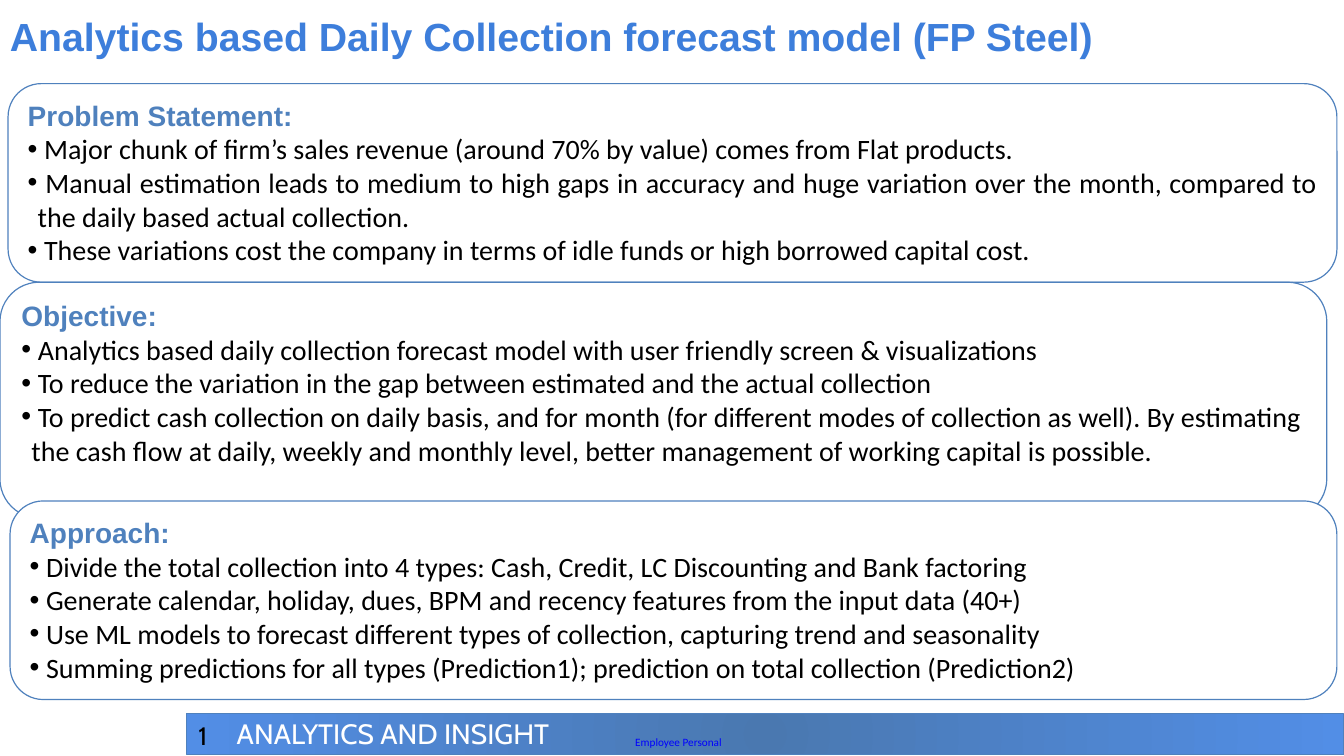
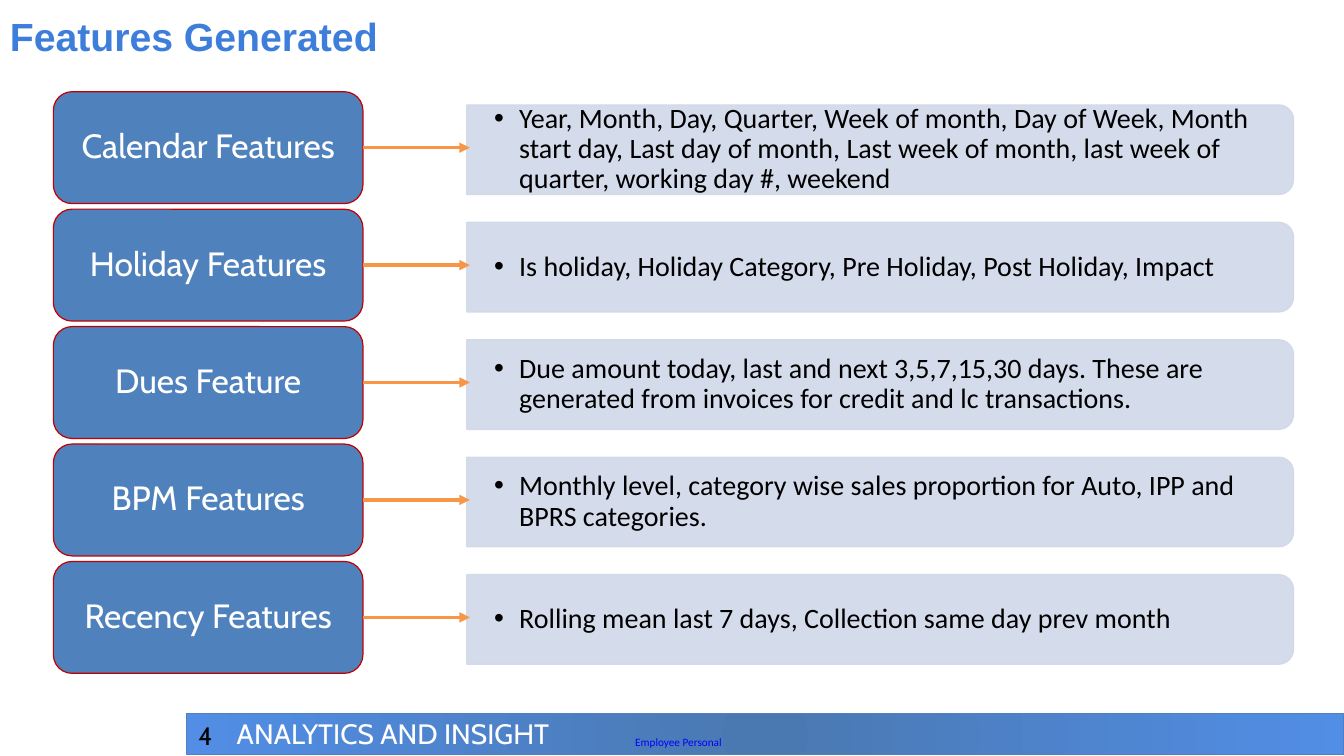
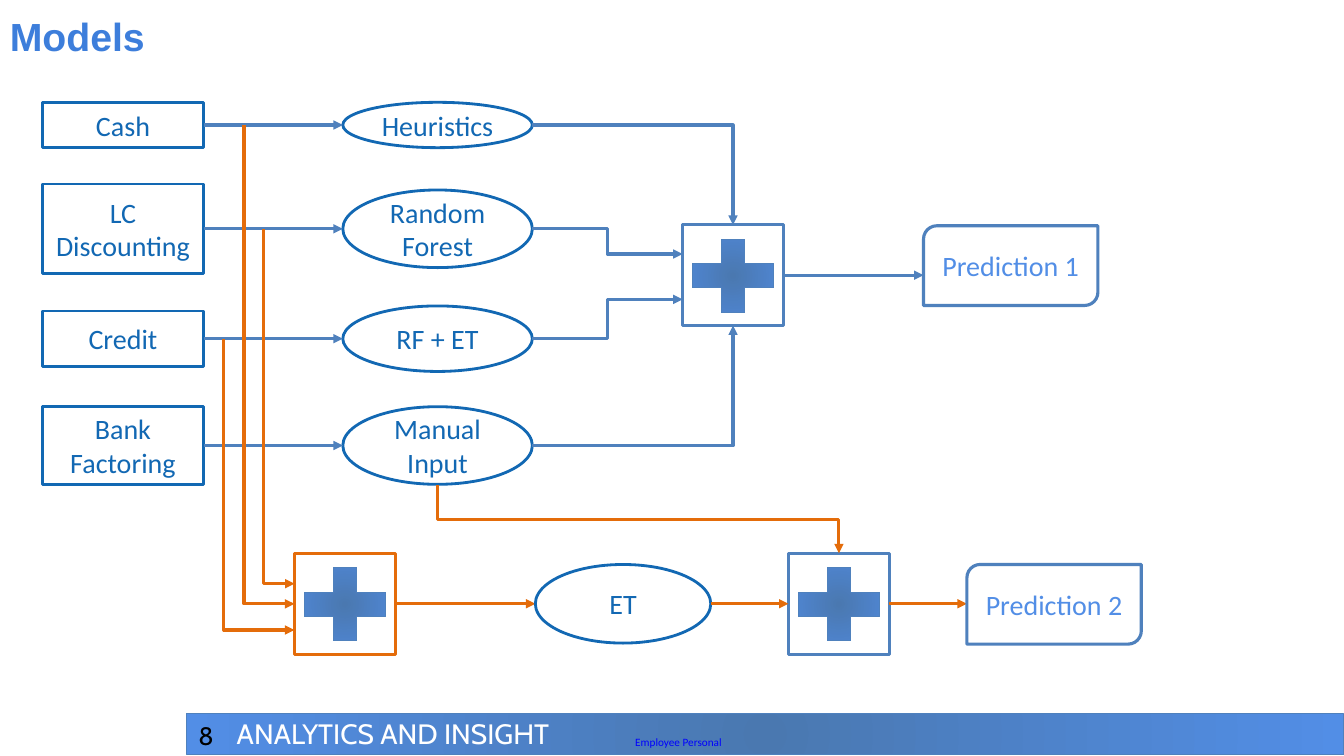
"""Builds three slides on a daily collection forecast model."""
from lxml import etree
from pptx import Presentation, util as u
from pptx.dml.color import RGBColor
from pptx.enum import shapes, text
from pptx.oxml.ns import qn

SHAPE, LINK = shapes.MSO_SHAPE, shapes.MSO_CONNECTOR
ALIGN, ANCHOR = text.PP_ALIGN, text.MSO_ANCHOR
W, H = 13.33, 7.5
BLUE, INK, TITLE, SKY = "4F81BD", "1268B3", "3D7EDB", "528EE6"
DEEP, ORANGE, AMBER, PALE, RED = "4A78B0", "E46C0A", "F79646", "D0D8E8", "C00000"
WHITE, BLACK, LABEL = "FFFFFF", "000000", "0000FF"

PANELS = [
    ((0.08, 0.83, 13.18, 1.97), ALIGN.JUSTIFY, "Problem Statement:", [
        "Major chunk of firm’s sales revenue (around 70% by value) comes from Flat products.",
        "Manual estimation leads to medium to high gaps in accuracy and huge variation over the month, "
        "compared to the daily based actual collection.",
        "These variations cost the company in terms of idle funds or high borrowed capital cost."]),
    ((0, 2.8, 13.16, 2.34), ALIGN.LEFT, "Objective:", [
        "Analytics based daily collection forecast model with user friendly screen & visualizations",
        "To reduce the variation in the gap between estimated and the actual collection",
        "To predict cash collection on daily basis, and for month (for different modes of collection as well). "
        "By estimating the cash flow at daily, weekly and monthly level, better management of working capital "
        "is possible."]),
    ((0.1, 4.97, 13.16, 1.97), ALIGN.LEFT, "Approach:", [
        "Divide the total collection into 4 types: Cash, Credit, LC Discounting and Bank factoring",
        "Generate calendar, holiday, dues, BPM and recency features from the input data (40+)",
        "Use ML models to forecast different types of collection, capturing trend and seasonality",
        "Summing predictions for all types (Prediction1); prediction on total collection (Prediction2)"]),
]
FEATURES = [
    ("Calendar Features", "Year, Month, Day, Quarter, Week of month, Day of Week, Month start day, "
     "Last day of month, Last week of month, last week of quarter, working day #, weekend"),
    ("Holiday Features", "Is holiday, Holiday Category, Pre Holiday, Post Holiday, Impact"),
    ("Dues Feature", "Due amount today, last and next 3,5,7,15,30 days. These are generated from invoices "
     "for credit and lc transactions."),
    ("BPM Features", "Monthly level, category wise sales proportion for Auto, IPP and BPRS categories."),
    ("Recency Features", "Rolling mean last 7 days, Collection same day prev month"),
]
MODELS = [
    ("Cash", 0.45, "Heuristics", 0.45, 1.24),
    ("LC Discounting", 0.89, "Random Forest", 0.77, 2.27),
    ("Credit", 0.55, "RF + ET", 0.65, 3.36),
    ("Bank Factoring", 0.77, "Manual Input", 0.77, 4.42),
]


def rgb(color):
    return RGBColor.from_string(color)


def inches(*values):
    return [u.Inches(v) for v in values]


def add_text(sp, words, size=20, font="Calibri", color=BLACK, bold=False, align=ALIGN.LEFT,
             anchor=ANCHOR.TOP, inset=(0.1, 0.05), hang=0, spacing=None, wrap=True):
    tf = sp.text_frame
    tf.word_wrap, tf.vertical_anchor = wrap, anchor
    tf.margin_left = tf.margin_right = u.Inches(inset[0])
    tf.margin_top = tf.margin_bottom = u.Inches(inset[1])
    p = tf.paragraphs[0] if not tf.text else tf.add_paragraph()
    p.alignment, p.line_spacing = align, spacing
    r = p.add_run()
    r.text = words
    r.font.size, r.font.name, r.font.bold = u.Pt(size), font, bold
    r.font.color.rgb = rgb(color)
    if hang:
        pr = p._p.get_or_add_pPr()
        pr.set("marL", str(u.Inches(hang)))
        pr.set("indent", str(-u.Inches(hang)))
        etree.SubElement(pr, qn("a:buFont"), typeface="Arial")
        etree.SubElement(pr, qn("a:buChar"), char="•")


def add_box(s, at, words, **fmt):
    sp = s.shapes.add_textbox(*inches(*at))
    add_text(sp, words, **fmt)
    return sp


def add_shape(s, kind, at, line, width, fill=None):
    sp = s.shapes.add_shape(kind, *inches(*at))
    sp.shadow.inherit = False
    if fill:
        sp.fill.solid()
        sp.fill.fore_color.rgb = rgb(fill)
    else:
        sp.fill.background()
    sp.line.color.rgb, sp.line.width = rgb(line), u.Pt(width)
    return sp


def add_glow(s, kind, at):
    sp = add_shape(s, kind, at, BLUE, 0.75)
    props = sp._element.spPr
    grad = etree.Element(qn("a:gradFill"), rotWithShape="1")
    stops = etree.SubElement(grad, qn("a:gsLst"))
    for pos, color in (("0", DEEP), ("100000", SKY)):
        stop = etree.SubElement(stops, qn("a:gs"), pos=pos)
        etree.SubElement(stop, qn("a:srgbClr"), val=color)
    shade = etree.SubElement(grad, qn("a:path"), path="circle")
    etree.SubElement(shade, qn("a:fillToRect"), dict.fromkeys("ltrb", "50000"))
    props.replace(props.find(qn("a:noFill")), grad)
    return sp


def add_arrow(s, start, end, color, width=2.25, kind=LINK.STRAIGHT, source=None, target=None):
    c = s.shapes.add_connector(kind, *inches(*start, *end))
    if source is not None:
        c.begin_connect(source, 3)
    if target is not None:
        c.end_connect(target, 1)
    c.line.color.rgb, c.line.width = rgb(color), u.Pt(width)
    etree.SubElement(c.line._get_or_add_ln(), qn("a:tailEnd"), type="triangle")
    etree.SubElement(c._element.spPr, qn("a:effectLst"))
    return c


def add_elbow(s, start, end, color, corners=2, down_first=False):
    (x1, y1), (x2, y2) = start, end
    if down_first:
        cx, cy, dx, dy = (x1 + x2) / 2, (y1 + y2) / 2, (x2 - x1) / 2, (y2 - y1) / 2
        start, end = (cx + dy, cy - dx), (cx - dy, cy + dx)
    c = add_arrow(s, start, end, color, kind=LINK.ELBOW)
    props = c._element.spPr
    if down_first:
        props.find(qn("a:xfrm")).set("rot", str(270 * 60000))
    props.find(qn("a:prstGeom")).set("prst", f"bentConnector{corners + 1}")


def add_slide(prs, title, number):
    s = prs.slides.add_slide(prs.slide_layouts[6])
    add_glow(s, SHAPE.RECTANGLE, (1.85, 7.08, W - 1.85, 0.41))
    add_box(s, (2.25, 7.06, 3.74, 0.44), "ANALYTICS AND INSIGHT", font="Cabin", color=WHITE)
    add_box(s, (6.3, 7.3, 0.9, 0.13), "Employee Personal", size=8, color=LABEL, inset=(0, 0), wrap=False)
    add_box(s, (1.87, 7.1, 3.11, 0.4), number, size=18, font="Cabin")
    add_box(s, (0, 0.07, 12.94, 0.57), title, size=28, font="Arial", color=TITLE, bold=True)
    return s


def overview(s):
    for at, align, heading, points in PANELS:
        sp = add_shape(s, SHAPE.ROUNDED_RECTANGLE, at, BLUE, 0.85, WHITE)
        add_text(sp, heading, font="Arial", color=BLUE, bold=True)
        for point in points:
            add_text(sp, f" {point}", align=align, hang=0.1)


def features(s):
    top, pitch, tall, bar_h, bar_w, bar_x = 0.91, 1.165, 1.11, 0.89, 8.2, 4.63
    for i, (name, detail) in enumerate(FEATURES):
        y = top + i * pitch
        mid = y + tall / 2 + 0.02
        bar = add_shape(s, SHAPE.ROUND_2_SAME_RECTANGLE,
                        (bar_x + (bar_w - bar_h) / 2, mid - bar_w / 2, bar_h, bar_w), PALE, 0.85, PALE)
        bar.rotation = 90
        for tint in list(bar._element.spPr.iter(qn("a:srgbClr"))):
            etree.SubElement(tint, qn("a:alpha"), val="90000")
        add_box(s, (bar_x, mid - 0.4, 8.16, 0.8), detail, anchor=ANCHOR.MIDDLE,
                inset=(0.27, 0.14), hang=0.25, spacing=0.9)
        button = add_shape(s, SHAPE.ROUNDED_RECTANGLE, (0.53, y, 3.07, tall), RED, 0.85, BLUE)
        add_text(button, name, size=24, font="Cabin", color=WHITE, align=ALIGN.CENTER,
                 anchor=ANCHOR.MIDDLE, spacing=0.9)
        add_arrow(s, (3.6, y + tall / 2), (4.66, y + tall / 2), AMBER, 2.5, source=button)


def add_node(s, kind, at, words, color=INK, line=INK, width=2):
    sp = add_shape(s, kind, at, line, width)
    add_text(sp, words, color=color, align=ALIGN.CENTER, anchor=ANCHOR.MIDDLE)
    return sp


def add_sum(s, x, y, color):
    add_glow(s, SHAPE.MATH_PLUS, (x - 0.05, y + 0.01, 1.1, 0.99))
    return add_shape(s, SHAPE.RECTANGLE, (x, y, 1, 1), color, 2.25)


def models(s):
    oval, left, wide, model_x, model_w = SHAPE.FLOWCHART_CONNECTOR, 0.42, 1.6, 3.4, 1.88
    out = model_x + model_w
    for source, source_h, model, model_h, mid in MODELS:
        box = add_node(s, SHAPE.RECTANGLE, (left, mid - source_h / 2, wide, source_h), source)
        add_node(s, oval, (model_x, mid - model_h / 2, model_w, model_h), model)
        add_arrow(s, (left + wide, mid), (model_x, mid), BLUE, source=box)
    cash, lc, credit, bank = [row[-1] for row in MODELS]

    first = add_sum(s, 6.77, 2.23, BLUE)
    add_elbow(s, (out, cash), (7.27, 2.23), BLUE, corners=1)
    add_elbow(s, (out, lc), (6.77, 2.52), BLUE)
    add_elbow(s, (out, credit), (6.77, 2.97), BLUE)
    add_elbow(s, (out, bank), (7.27, 3.23), BLUE, corners=1)
    add_arrow(s, (7.77, 2.73), (9.16, 2.73), BLUE, source=first)

    total = add_sum(s, 2.92, 5.49, ORANGE)
    for x, y, end in ((2.42, cash, 5.99), (2.61, lc, 5.79), (2.22, credit, 6.25)):
        add_elbow(s, (x, y), (2.92, end), ORANGE, corners=1, down_first=True)
    add_arrow(s, (3.92, 5.99), (5.31, 5.99), ORANGE, source=total)
    add_node(s, oval, (5.31, 5.6, 1.74, 0.78), "ET")
    final = add_sum(s, 7.82, 5.49, BLUE)
    add_elbow(s, (model_x + model_w / 2, 4.81), (8.32, 5.49), ORANGE, down_first=True)
    add_arrow(s, (7.05, 5.99), (7.82, 5.99), ORANGE, target=final)
    add_arrow(s, (8.82, 5.99), (9.59, 5.99), ORANGE, source=final)
    for i, at in enumerate([(9.16, 2.24, 1.73, 0.79), (9.59, 5.6, 1.73, 0.79)], 1):
        add_node(s, SHAPE.ROUND_2_DIAG_RECTANGLE, at, f"Prediction {i}", SKY, BLUE, 2.25)


def main():
    prs = Presentation()
    prs.slide_width, prs.slide_height = inches(W, H)
    overview(add_slide(prs, "Analytics based Daily Collection forecast model (FP Steel)", "1"))
    features(add_slide(prs, "Features Generated", "4"))
    models(add_slide(prs, "Models", "8"))
    prs.save("out.pptx")


if __name__ == "__main__":
    main()
